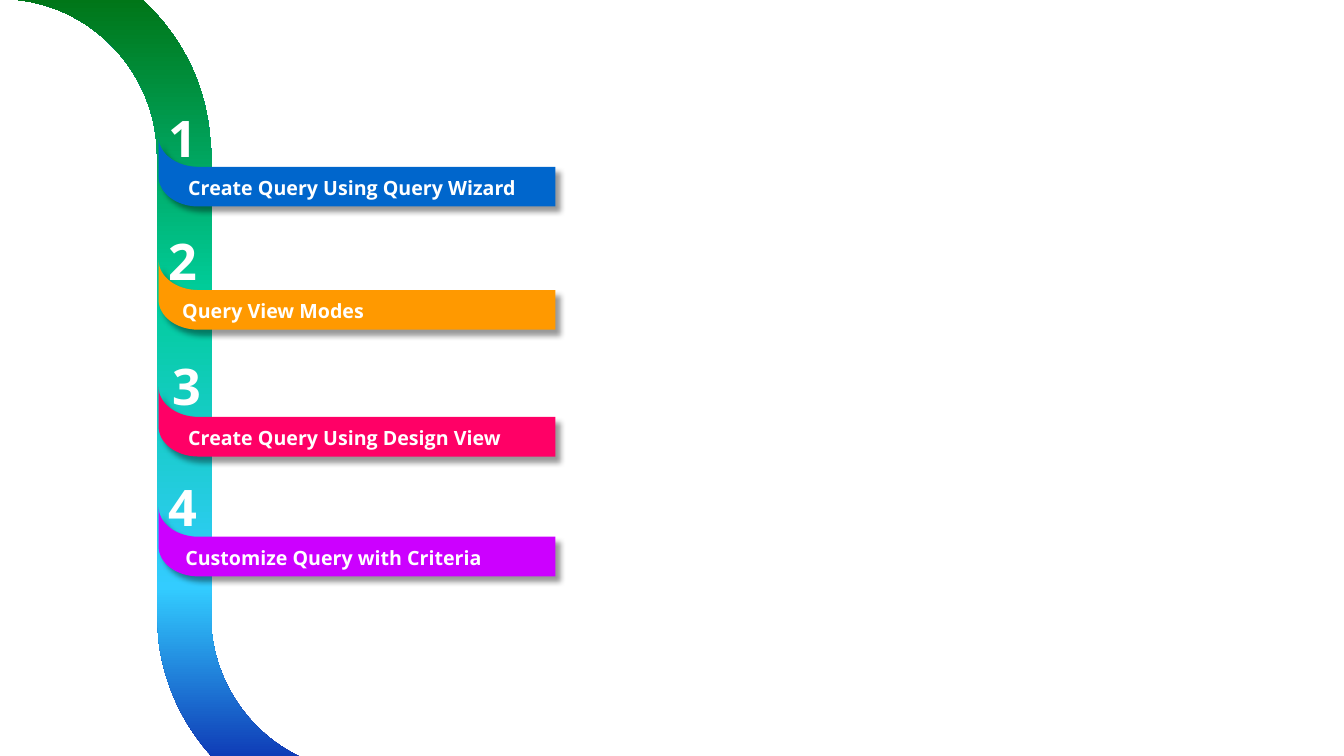
from dataclasses import dataclass

from lxml import etree
from pptx import Presentation
from pptx.dml.color import RGBColor
from pptx.enum.shapes import MSO_SHAPE
from pptx.enum.text import MSO_AUTO_SIZE, PP_ALIGN
from pptx.oxml.ns import qn
from pptx.util import Pt

LEFT = PP_ALIGN.LEFT
CENTER = PP_ALIGN.CENTER
FIT_SHAPE = MSO_AUTO_SIZE.SHAPE_TO_FIT_TEXT
RECTANGLE = MSO_SHAPE.RECTANGLE

WHITE = RGBColor(0xFF, 0xFF, 0xFF)
BLACK = RGBColor(0x00, 0x00, 0x00)
BLUE = RGBColor(0x00, 0x66, 0xCC)
ORANGE = RGBColor(0xFF, 0x99, 0x00)
PINK = RGBColor(0xFF, 0x00, 0x66)
PURPLE = RGBColor(0xCC, 0x00, 0xFF)
NAVY = RGBColor(0x00, 0x00, 0x99)
SKY = RGBColor(0x33, 0xCC, 0xFF)
TEAL = RGBColor(0x00, 0xCC, 0x99)
GREEN = RGBColor(0x00, 0x66, 0x00)

FONT = "Open Sans"
RIBBON_STOPS = ((0, NAVY), (27, SKY), (61, TEAL), (100, GREEN))

Outline = list[tuple[float, ...]]

RIBBON: Outline = [
    (0.4, -38.9),
    (78.5, -38.9, 142.6, 20.2, 149.8, 95.8),
    (151.2, 111.6),
    (151.2, 450.7),
    (157, 507.6, 204.5, 551.5, 262.8, 551.5),
    (262.8, 589.7),
    (185, 589.7, 121, 530.6, 113, 455),
    (112.3, 439.2),
    (112.3, 111.6),
    (111.6, 100.1),
    (105.8, 43.9, 58.3, -0.7, 0.4, -0.7),
]

BANNER_LEFT, BANNER_BEND, BANNER_RIGHT = 113.3, 141.8, 396.7
BEND_CONTROL = 126
BANNER_HEIGHT = 28.3
FOLD_DEPTH = 21.4
NUMBER_SIZE = 51


@dataclass(frozen=True)
class Topic:
    number: str
    title: str
    color: RGBColor
    top: float
    title_left: float
    title_width: float
    number_top: float
    number_left: float = 105.1
    title_height: float = 24.2


TOPICS = (
    Topic("1", "Create Query Using Query Wizard", BLUE, 97.8, 127.4, 269.3, 72.7),
    Topic("2", "Query View Modes", ORANGE, 185.8, 123.1, 305.3, 160.7,
          title_height=58.3),
    Topic("3", "Create Query Using Design View", PINK, 276.4, 127.4, 269.3, 249.8,
          number_left=107.7),
    Topic("4", "Customize Query with Criteria", PURPLE, 362, 125.3, 298.1, 336.4),
)


def draw_outline(shapes, outline: Outline):
    anchors = [(Pt(step[-2]), Pt(step[-1])) for step in outline]
    builder = shapes.build_freeform(*anchors[0], scale=1.0)
    builder.add_line_segments(anchors[1:], close=True)
    shape = builder.convert_to_shape()
    shape.shadow.inherit = False
    shape.line.fill.background()
    origin_x = min(x for x, _ in anchors)
    origin_y = min(y for _, y in anchors)
    segments = shape._element.spPr.findall(".//" + qn("a:lnTo"))
    for segment, step in zip(segments, outline[1:]):
        if len(step) == 2:
            continue
        curve = etree.Element(qn("a:cubicBezTo"))
        for x, y in zip(step[::2], step[1::2]):
            etree.SubElement(curve, qn("a:pt"), x=str(Pt(x) - origin_x),
                             y=str(Pt(y) - origin_y))
        segment.getparent().replace(segment, curve)
    return shape


def draw_ribbon(shapes) -> None:
    shape = draw_outline(shapes, RIBBON)
    shape.fill.gradient()
    shape.fill.gradient_angle = 90
    stop_list = shape._element.spPr.find(".//" + qn("a:gsLst"))
    for stop in list(stop_list):
        stop_list.remove(stop)
    for position, color in RIBBON_STOPS:
        stop = etree.SubElement(stop_list, qn("a:gs"), pos=str(position * 1000))
        etree.SubElement(stop, qn("a:srgbClr"), val=str(color))


def add_drop_shadow(shape) -> None:
    effects = shape._element.spPr.find(qn("a:effectLst"))
    shadow = etree.SubElement(
        effects, qn("a:outerShdw"), blurRad=str(Pt(4)), dist=str(Pt(5)),
        dir=str(45 * 60000), algn="tl", rotWithShape="0",
    )
    color = etree.SubElement(shadow, qn("a:srgbClr"), val=str(BLACK))
    etree.SubElement(color, qn("a:alpha"), val="40000")


def draw_text(shapes, text: str, left: float, top: float, width: float,
              height: float, size: float, alignment: PP_ALIGN) -> None:
    box = shapes.add_textbox(Pt(left), Pt(top), Pt(width), Pt(height))
    frame = box.text_frame
    frame.word_wrap = True
    frame.auto_size = FIT_SHAPE
    paragraph = frame.paragraphs[0]
    paragraph.alignment = alignment
    run = paragraph.add_run()
    run.text = text
    run.font.name = FONT
    run.font.size = Pt(size)
    run.font.bold = True
    run.font.color.rgb = WHITE


def draw_topic(shapes, topic: Topic) -> None:
    top = topic.top
    face_top = top + FOLD_DEPTH
    bottom = face_top + BANNER_HEIGHT
    banner: Outline = [
        (BANNER_BEND, bottom),
        (BANNER_RIGHT, bottom),
        (BANNER_RIGHT, face_top),
        (BANNER_BEND, face_top),
        (BEND_CONTROL, face_top, BANNER_LEFT, top + 11.8, BANNER_LEFT, top),
        (BANNER_LEFT, top + BANNER_HEIGHT),
        (BANNER_LEFT, top + 40.1, BEND_CONTROL, bottom, BANNER_BEND, bottom),
    ]
    group = shapes.add_group_shape()
    shape = draw_outline(group.shapes, banner)
    shape.fill.solid()
    shape.fill.fore_color.rgb = topic.color
    add_drop_shadow(shape)
    draw_text(group.shapes, topic.title, topic.title_left, top + 24.1,
              topic.title_width, topic.title_height, 14, LEFT)
    draw_text(shapes, topic.number, topic.number_left, topic.number_top,
              NUMBER_SIZE, NUMBER_SIZE, 36, CENTER)


def draw_edge_mark(shapes) -> None:
    shape = shapes.add_shape(RECTANGLE, Pt(941), Pt(49.7), Pt(3.6), Pt(10.8))
    shape.shadow.inherit = False
    shape.fill.solid()
    shape.fill.fore_color.rgb = WHITE
    shape.line.fill.background()


def main() -> None:
    presentation = Presentation()
    presentation.slide_width = Pt(960)
    presentation.slide_height = Pt(540)
    slide = presentation.slides.add_slide(presentation.slide_layouts[6])
    draw_ribbon(slide.shapes)
    for topic in TOPICS:
        draw_topic(slide.shapes, topic)
    draw_edge_mark(slide.shapes)
    presentation.save("out.pptx")


if __name__ == "__main__":
    main()
